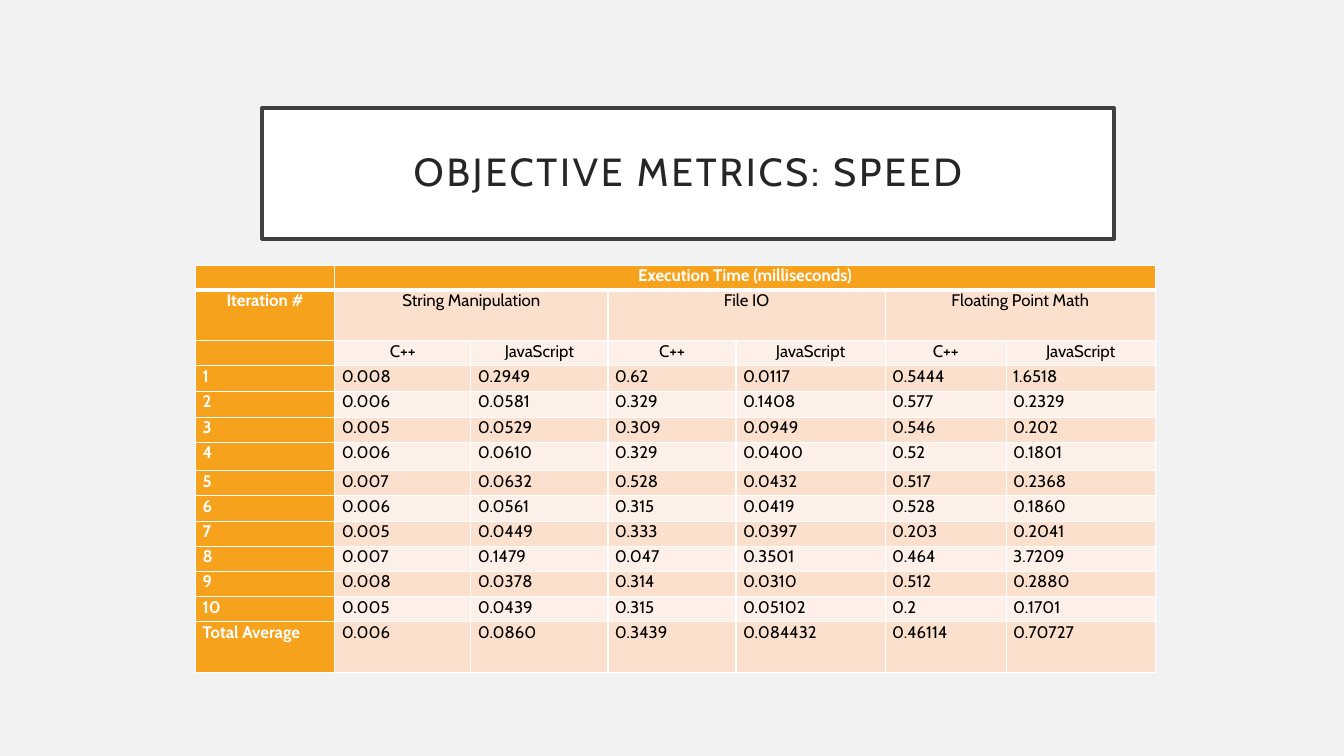
from lxml.etree import SubElement
from pptx import Presentation
from pptx.dml.color import RGBColor
from pptx.enum.text import MSO_ANCHOR, PP_ALIGN
from pptx.oxml.ns import qn
from pptx.util import Inches, Pt

WHITE = RGBColor(0xFF, 0xFF, 0xFF)
BLACK = RGBColor(0, 0, 0)
PAPER = RGBColor(0xF2, 0xF2, 0xF2)
FRAME = RGBColor(0x40, 0x40, 0x40)
INK = RGBColor(0x26, 0x26, 0x26)
ORANGE = RGBColor(0xF6, 0xA2, 0x1D)
PEACH = RGBColor(0xFB, 0xE0, 0xCD)
CREAM = RGBColor(0xFD, 0xF0, 0xE8)

COLS = [1.38, 1.35, 1.36, 1.27, 1.48, 1.2, 1.48]
ROWS = [0.25, 0.5, 0.25, 0.25, 0.26, 0.25, 0.28] + [0.25] * 6 + [0.5]
SPANS = [(0, 1, 6), (1, 1, 2), (1, 3, 4), (1, 5, 6)]
HEADS = [
    ["", "Execution Time (milliseconds)", "", "", "", "", ""],
    ["Iteration #", "String Manipulation", "", "File IO", "", "Floating Point Math", ""],
    [""] + ["C++", "JavaScript"] * 3,
]
TIMES = """
0.008 0.2949 0.62 0.0117 0.5444 1.6518
0.006 0.0581 0.329 0.1408 0.577 0.2329
0.005 0.0529 0.309 0.0949 0.546 0.202
0.006 0.0610 0.329 0.0400 0.52 0.1801
0.007 0.0632 0.528 0.0432 0.517 0.2368
0.006 0.0561 0.315 0.0419 0.528 0.1860
0.005 0.0449 0.333 0.0397 0.203 0.2041
0.007 0.1479 0.047 0.3501 0.464 3.7209
0.008 0.0378 0.314 0.0310 0.512 0.2880
0.005 0.0439 0.315 0.05102 0.2 0.1701
0.006 0.0860 0.3439 0.084432 0.46114 0.70727
""".strip().splitlines()
LABELS = [str(n) for n in range(1, 11)] + ["Total Average"]
BODY = [[label] + line.split() for label, line in zip(LABELS, TIMES)]


class Deck:
    font = "Cabin"
    size = 12

    def __init__(self, show):
        self.slide = show.slides.add_slide(show.slide_layouts[5])
        fill = self.slide.background.fill
        fill.solid()
        fill.fore_color.rgb = PAPER

    def text(self, para, words, size, color, bold=False):
        run = para.add_run()
        run.text = words
        run.font.name = self.font
        run.font.size = Pt(size)
        run.font.bold = bold
        run.font.color.rgb = color
        return run

    def title(self, words, left, top, width, height):
        box = self.slide.shapes.title
        box.left, box.top = Inches(left), Inches(top)
        box.width, box.height = Inches(width), Inches(height)
        box.fill.solid()
        box.fill.fore_color.rgb = WHITE
        box.line.color.rgb = FRAME
        box.line.width = Pt(2.5)
        frame = box.text_frame
        frame.word_wrap = True
        frame.vertical_anchor = MSO_ANCHOR.MIDDLE
        frame.margin_left = frame.margin_right = Inches(0.2)
        frame.margin_top = frame.margin_bottom = Inches(0.2)
        para = frame.paragraphs[0]
        para.alignment = PP_ALIGN.CENTER
        para.line_spacing = 0.9
        run = self.text(para, words, 28, INK)
        run._r.get_or_add_rPr().set("spc", "200")

    def edge(self, cell, side, width):
        props = cell._tc.get_or_add_tcPr()
        line = SubElement(props, qn("a:ln" + side), w=str(int(Pt(width))))
        fill = SubElement(line, qn("a:solidFill"))
        SubElement(fill, qn("a:srgbClr"), val=str(WHITE))

    def cell(self, cell, words, row, col):
        thick = {(0, "B"), (1, "T")}
        for side in "LRTB":
            self.edge(cell, side, 3 if (row, side) in thick else 1)
        head = row == 0 or col == 0
        cell.fill.solid()
        cell.fill.fore_color.rgb = ORANGE if head else PEACH if row % 2 else CREAM
        cell.margin_left = cell.margin_right = Inches(0.07)
        cell.margin_top = cell.margin_bottom = 0
        para = cell.text_frame.paragraphs[0]
        para.alignment = PP_ALIGN.CENTER if row < len(HEADS) else PP_ALIGN.LEFT
        if words:
            self.text(para, words, self.size, WHITE if head else BLACK, head)
        else:
            SubElement(para._p, qn("a:endParaRPr"), sz=str(self.size * 100))

    def table(self, data, left, top):
        grid = self.slide.shapes.add_table(
            len(ROWS), len(COLS), Inches(left), Inches(top),
            Inches(sum(COLS)), Inches(sum(ROWS))).table
        for col, width in zip(grid.columns, COLS):
            col.width = Inches(width)
        for row, height in zip(grid.rows, ROWS):
            row.height = Inches(height)
        for row, line in enumerate(data):
            for col, words in enumerate(line):
                self.cell(grid.cell(row, col), words, row, col)
        for row, first, last in SPANS:
            grid.cell(row, first).merge(grid.cell(row, last))


show = Presentation()
show.slide_width, show.slide_height = Inches(13.33), Inches(7.5)
deck = Deck(show)
deck.title("OBJECTIVE METRICS: SPEED", 2.6, 1.07, 8.45, 1.3)
deck.table(HEADS + BODY, 1.94, 2.63)
show.save("out.pptx")
